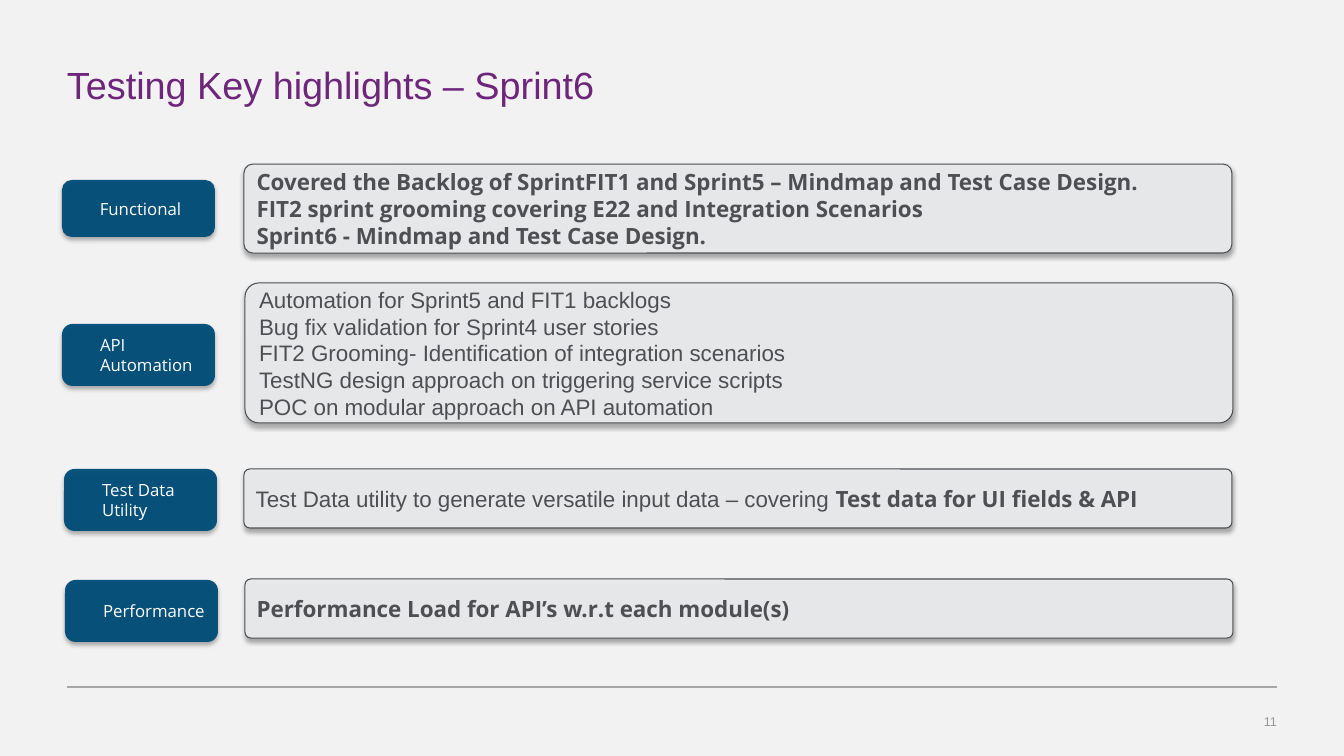
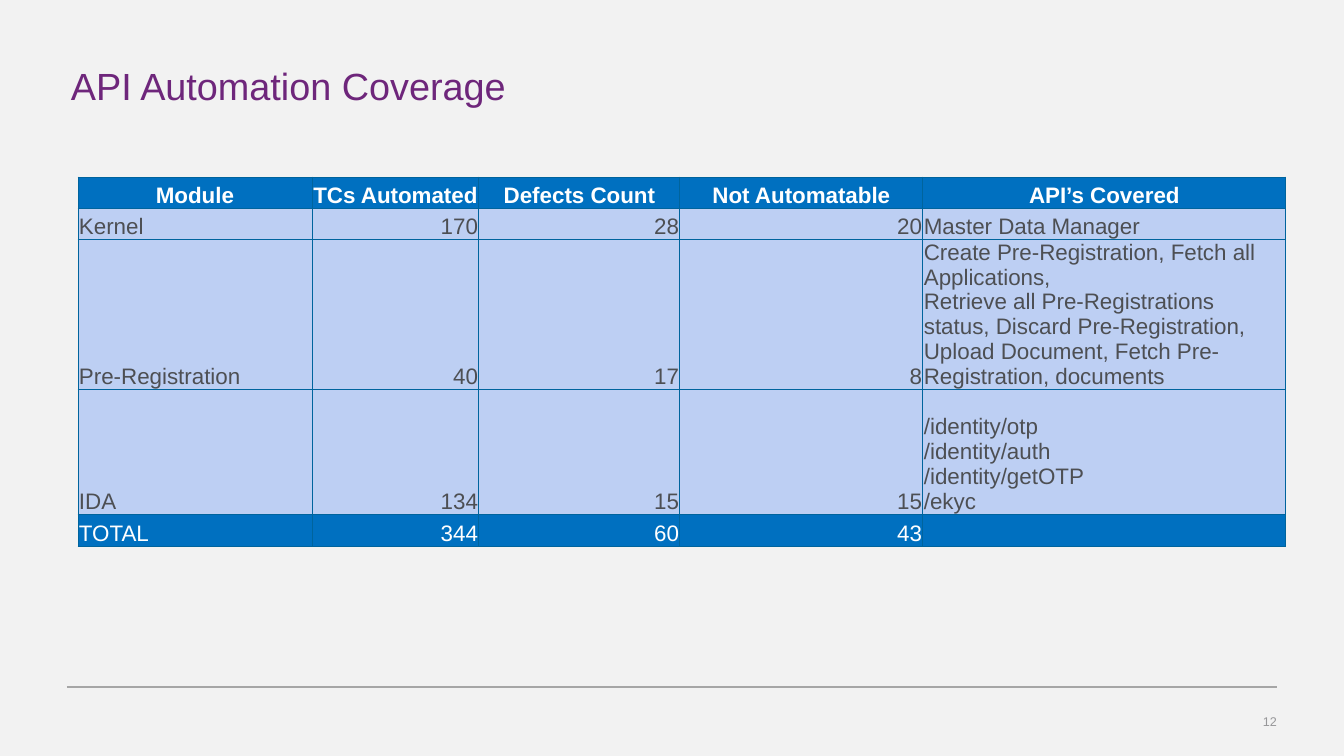
from lxml import etree
from pptx import Presentation
from pptx.dml.color import RGBColor
from pptx.enum.shapes import MSO_CONNECTOR, MSO_SHAPE
from pptx.enum.text import MSO_ANCHOR, MSO_AUTO_SIZE, PP_ALIGN
from pptx.oxml.ns import qn
from pptx.util import Pt

PIXEL = 914400 / 100.8
LEFT, CENTER, RIGHT = PP_ALIGN.LEFT, PP_ALIGN.CENTER, PP_ALIGN.RIGHT
MIDDLE, BOTTOM = MSO_ANCHOR.MIDDLE, MSO_ANCHOR.BOTTOM
NO_AUTOFIT = MSO_AUTO_SIZE.NONE
ROUNDED = MSO_SHAPE.ROUNDED_RECTANGLE
STRAIGHT = MSO_CONNECTOR.STRAIGHT
TITLE_ONLY = 5

ARIAL, OPEN_SANS = "Arial", "Open Sans"
COLORS = {
    "background": "F2F2F2",
    "title": "6E267B",
    "rule": "A6A6A6",
    "page": "979799",
    "label": "004D79",
    "panel": "E9EAEB",
    "text": "4D4F53",
    "white": "FFFFFF",
    "band": "0070C0",
    "row": "BDCFF3",
    "grid": "00649D",
    "shadow": "000000",
}

HIGHLIGHTS = [
    ("Functional", (62, 180, 153, 57), (244, 164, 988, 89), OPEN_SANS, True, [
        "Covered the Backlog of SprintFIT1 and Sprint5 – Mindmap and Test Case Design.",
        "FIT2 sprint grooming covering E22 and Integration Scenarios",
        "Sprint6 - Mindmap and Test Case Design.",
    ]),
    ("API Automation", (62, 324, 153, 62), (245, 283, 988, 140), ARIAL, False, [
        "Automation for Sprint5 and FIT1 backlogs",
        "Bug fix validation for Sprint4 user stories",
        "FIT2 Grooming- Identification of integration scenarios",
        "TestNG design approach on triggering service scripts",
        "POC on modular approach on API automation",
    ]),
    ("Test Data Utility", (64, 469, 153, 62), (244, 469, 988, 59), ARIAL, False, [
        [
            ("Test Data utility to generate versatile input data – covering ", ARIAL, False),
            ("Test data for UI fields & API", OPEN_SANS, True),
        ],
    ]),
    ("Performance", (65, 580, 153, 62), (245, 579, 988, 59), OPEN_SANS, True, [
        "Performance Load for API’s w.r.t each module(s)",
    ]),
]

COVERAGE = [
    ["Module", "TCs Automated", "Defects Count", "Not Automatable", "API’s Covered"],
    ["Kernel", "170", "28", "20", "Master Data Manager"],
    ["Pre-Registration", "40", "17", "8",
     "Create Pre-Registration, Fetch all Applications,\n"
     "Retrieve all Pre-Registrations status, Discard Pre-Registration, "
     "Upload Document, Fetch Pre-Registration, documents"],
    ["IDA", "134", "15", "15",
     "/identity/otp\n/identity/auth\n/identity/getOTP\n/ekyc"],
    ["TOTAL", "344", "60", "43", ""],
]
COLUMN_WIDTHS = [234, 167, 201, 243, 363]
ROW_HEIGHTS = [31, 31, 150, 125, 32]
COLUMN_ALIGNS = [LEFT, RIGHT, RIGHT, RIGHT, LEFT]


def px(*lengths):
    return [round(length * PIXEL) for length in lengths]


def rgb(name):
    return RGBColor.from_string(COLORS[name])


def write_text(frame, paragraphs, *, size, color, font=ARIAL, bold=False,
               align=LEFT, anchor=MIDDLE, insets=(10, 5, 10, 5)):
    frame.word_wrap = True
    frame.auto_size = NO_AUTOFIT
    frame.vertical_anchor = anchor
    (frame.margin_left, frame.margin_top,
     frame.margin_right, frame.margin_bottom) = px(*insets)
    for index, content in enumerate(paragraphs):
        paragraph = frame.add_paragraph() if index else frame.paragraphs[0]
        paragraph.alignment = align
        runs = [(content, font, bold)] if isinstance(content, str) else content
        for words, typeface, strong in runs:
            run = paragraph.add_run()
            run.text = words
            run.font.name = typeface
            run.font.bold = strong
            run.font.size = Pt(size)
            run.font.color.rgb = rgb(color)


def add_alpha(color_element, percent):
    etree.SubElement(color_element, qn("a:alpha"), val=str(percent * 1000))


def add_rounded_box(slide, box, fill, outline=None, corner=0.17):
    shape = slide.shapes.add_shape(ROUNDED, *px(*box))
    shape.adjustments[0] = corner
    shape.fill.solid()
    shape.fill.fore_color.rgb = rgb(fill)
    properties = shape.element.spPr
    add_alpha(properties.find(qn("a:solidFill"))[0], 96)
    if outline:
        shape.line.color.rgb = rgb(outline)
        shape.line.width = Pt(0.75)
    else:
        shape.line.fill.background()
    shape.shadow.inherit = False
    shadow = etree.SubElement(
        properties.find(qn("a:effectLst")), qn("a:outerShdw"),
        blurRad=str(Pt(3.5)), dist=str(Pt(2.2)), dir="5400000", rotWithShape="0")
    add_alpha(etree.SubElement(shadow, qn("a:srgbClr"), val=COLORS["shadow"]), 32)
    return shape.text_frame


def add_rule(slide, left, right, y):
    rule = slide.shapes.add_connector(STRAIGHT, *px(left, y, right, y))
    rule.line.color.rgb = rgb("rule")
    rule.line.width = Pt(0.75)
    etree.SubElement(rule.element.spPr, qn("a:effectLst"))


def add_page(deck, title, number, title_left, title_top):
    slide = deck.slides.add_slide(deck.slide_layouts[TITLE_ONLY])
    heading = slide.shapes.title
    heading.left, heading.top, heading.width, heading.height = px(
        title_left, title_top, 1210, 71)
    write_text(heading.text_frame, [title], size=27, color="title", insets=(0, 5, 0, 5))
    add_rule(slide, 67, 1277, 687)
    page_number = slide.shapes.add_textbox(*px(964, 702, 313, 40))
    write_text(page_number.text_frame, [number], size=9, color="page",
               align=RIGHT, insets=(0, 5, 0, 5))
    return slide


def add_highlight(slide, label, label_box, panel_box, font, bold, lines):
    write_text(add_rounded_box(slide, label_box, "label"), [label],
               size=12, color="white", font=OPEN_SANS, insets=(35, 5, 10, 5))
    write_text(add_rounded_box(slide, panel_box, "panel", "text", 0.1), lines,
               size=16, color="text", font=font, bold=bold)


def add_cell_borders(cell):
    properties = cell._tc.get_or_add_tcPr()
    for position, side in enumerate(("a:lnL", "a:lnR", "a:lnT", "a:lnB")):
        border = etree.Element(qn(side), w=str(Pt(0.75)))
        fill = etree.SubElement(border, qn("a:solidFill"))
        etree.SubElement(fill, qn("a:srgbClr"), val=COLORS["grid"])
        properties.insert(position, border)


def add_coverage_table(slide, left, top):
    table = slide.shapes.add_table(
        len(COVERAGE), len(COLUMN_WIDTHS),
        *px(left, top, sum(COLUMN_WIDTHS), sum(ROW_HEIGHTS))).table
    table.horz_banding = False
    for column, width in zip(table.columns, px(*COLUMN_WIDTHS)):
        column.width = width
    for row, height in zip(table.rows, px(*ROW_HEIGHTS)):
        row.height = height
    for row_index, values in enumerate(COVERAGE):
        is_header = row_index == 0
        is_band = is_header or row_index == len(COVERAGE) - 1
        for column_index, value in enumerate(values):
            cell = table.cell(row_index, column_index)
            cell.fill.solid()
            cell.fill.fore_color.rgb = rgb("band" if is_band else "row")
            cell.vertical_anchor = BOTTOM
            (cell.margin_left, cell.margin_top,
             cell.margin_right, cell.margin_bottom) = px(1, 1, 1, 0)
            add_cell_borders(cell)
            write_text(cell.text_frame, value.split("\n"), size=16,
                       color="white" if is_band else "text", bold=is_header,
                       align=CENTER if is_header else COLUMN_ALIGNS[column_index],
                       anchor=BOTTOM, insets=(0, 0, 0, 0))


def main():
    deck = Presentation()
    deck.slide_width, deck.slide_height = px(1344, 756)
    background = deck.slide_master.background.fill
    background.solid()
    background.fore_color.rgb = rgb("background")

    highlights = add_page(deck, "Testing Key highlights – Sprint6", "11", 67, 49)
    for highlight in HIGHLIGHTS:
        add_highlight(highlights, *highlight)

    coverage = add_page(deck, "API Automation Coverage", "12", 71, 50)
    add_coverage_table(coverage, 78, 177)

    deck.save("out.pptx")


main()
